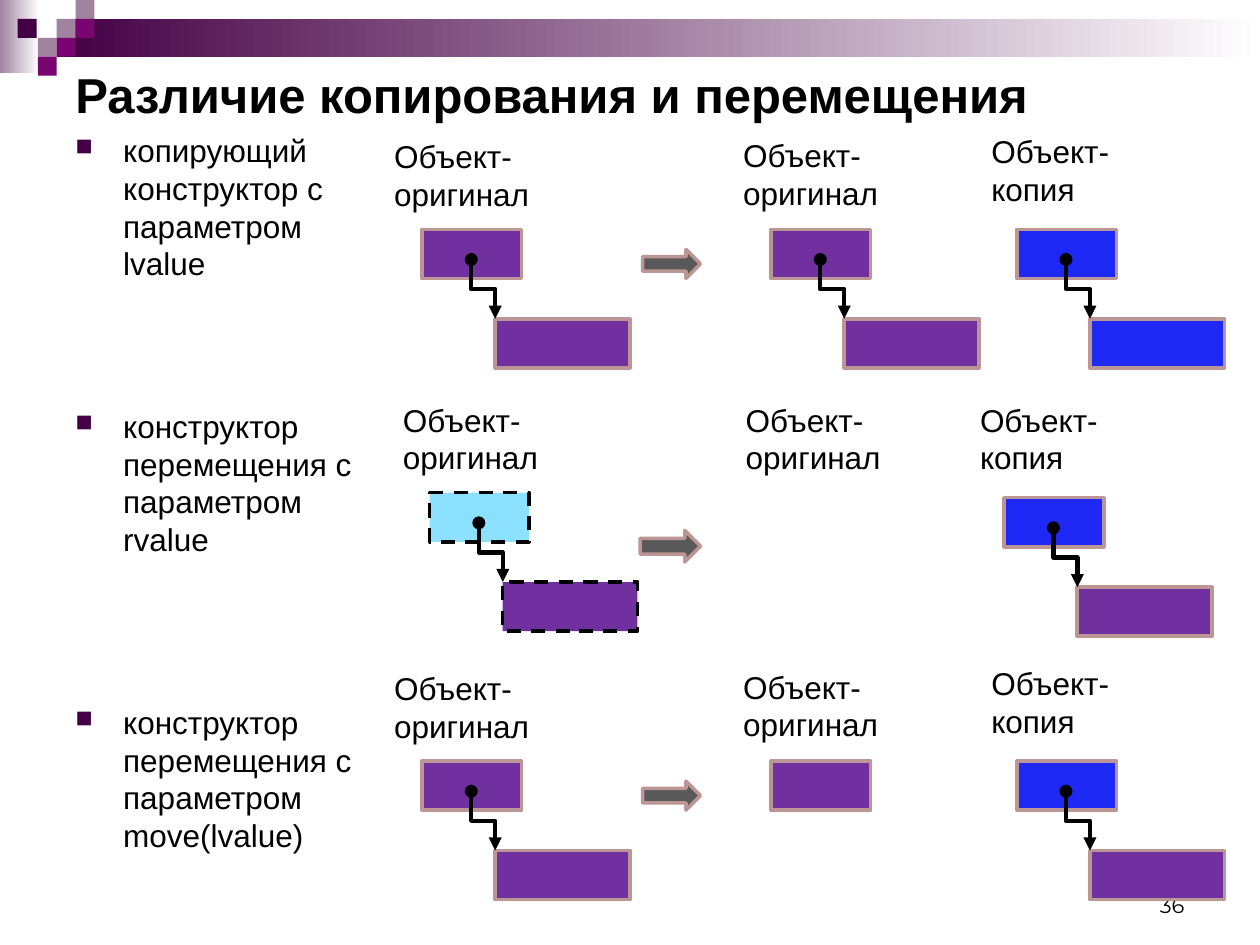
from lxml.etree import SubElement
from pptx import Presentation
from pptx.dml.color import RGBColor
from pptx.enum.dml import MSO_LINE
from pptx.enum.shapes import MSO_CONNECTOR, MSO_SHAPE
from pptx.enum.text import MSO_ANCHOR, MSO_AUTO_SIZE, PP_ALIGN
from pptx.oxml.ns import qn
from pptx.util import Inches, Pt

COLORS = {
    "black": "000000", "white": "FFFFFF", "plum": "440044", "mauve": "9F839F",
    "magenta": "790571", "purple": "7030A0", "blue": "1F29F5", "sky": "8BE1FF",
    "border": "BC9595", "gray": "595959",
}
ORIGINAL, COPY = "Объект-оригинал", "Объект-копия"
TILE = 0.15
TILES = [
    (0.45, 0.15, "mauve"), (0.6, 0, "mauve"), (0.6, 0.15, "magenta"),
    (0.3, 0.3, "mauve"), (0.14, 0.15, "plum"), (0.45, 0.3, "magenta"),
    (0.3, 0.45, "magenta"),
]
BULLETS = [
    ("копирующий конструктор c параметром lvalue", 0),
    ("конструктор перемещения c параметром rvalue", 71.2),
    ("конструктор перемещения с параметром move(lvalue)", 82.8),
]
LABELS = [
    (ORIGINAL, 3.03, 1.04), (ORIGINAL, 5.8, 1.03), (COPY, 7.77, 1),
    (ORIGINAL, 3.1, 3.13), (ORIGINAL, 5.82, 3.13), (COPY, 7.68, 3.13),
    (ORIGINAL, 3.03, 5.26), (ORIGINAL, 5.8, 5.25), (COPY, 7.77, 5.22),
]
OBJECTS = [
    (3.35, 1.82, "purple", "purple", False),
    (6.12, 1.82, "purple", "purple", False),
    (8.07, 1.82, "blue", "blue", False),
    (3.41, 3.91, "sky", "purple", True),
    (7.97, 3.95, "blue", "purple", False),
    (3.35, 6.04, "purple", "purple", False),
    (6.12, 6.04, "purple", None, False),
    (8.07, 6.04, "blue", "purple", False),
]
ARROWS = [(5.1, 1.98, 0.46, 0.23), (5.08, 4.21, 0.48, 0.25), (5.1, 6.2, 0.46, 0.23)]


def color(name):
    """Return the named color."""
    return RGBColor.from_string(COLORS[name])


def add_figure(slide, kind, box, fill, border=None, dashed=False):
    """Add a preset shape with a plain fill and an optional border."""
    shape = slide.shapes.add_shape(kind, *map(Inches, box))
    shape.shadow.inherit = False
    shape.fill.solid()
    shape.fill.fore_color.rgb = color(fill)
    if border:
        shape.line.color.rgb = color(border)
        shape.line.width = Pt(2)
        if dashed:
            shape.line.dash_style = MSO_LINE.DASH
    else:
        shape.line.fill.background()
    return shape


def add_fade(slide, box, start):
    """Add a band that fades to white from left to right."""
    shape = add_figure(slide, MSO_SHAPE.RECTANGLE, box, start)
    shape.fill.gradient()
    shape.fill.gradient_angle = 0
    for stop, name, position in zip(shape.fill.gradient_stops, (start, "white"), (0, 1)):
        stop.color.rgb = color(name)
        stop.position = position


def format_paragraph(paragraph, text, size=18, font="Arial", bold=False,
                     align=PP_ALIGN.LEFT):
    """Fill a paragraph with formatted text."""
    paragraph.text = text
    paragraph.alignment = align
    paragraph.font.size = Pt(size)
    paragraph.font.name = font
    paragraph.font.bold = bold
    paragraph.font.color.rgb = color("black")


def add_text(slide, box, text=None, anchor=MSO_ANCHOR.TOP, grow=False, **style):
    """Add a wrapping text box and return its text frame."""
    frame = slide.shapes.add_textbox(*map(Inches, box)).text_frame
    frame.word_wrap = True
    frame.vertical_anchor = anchor
    frame.auto_size = MSO_AUTO_SIZE.SHAPE_TO_FIT_TEXT if grow else MSO_AUTO_SIZE.NONE
    if text:
        format_paragraph(frame.paragraphs[0], text, **style)
    return frame


def add_bullets(slide):
    """Add the list of constructors."""
    frame = add_text(slide, (0.5, 0.99, 2.53, 6.22))
    for index, (text, gap) in enumerate(BULLETS):
        paragraph = frame.add_paragraph() if index else frame.paragraphs[0]
        properties = paragraph._p.get_or_add_pPr()
        properties.set("marL", str(Inches(0.38)))
        properties.set("indent", str(-Inches(0.38)))
        bullet_color = SubElement(properties, qn("a:buClr"))
        SubElement(bullet_color, qn("a:srgbClr"), val=COLORS["plum"])
        SubElement(properties, qn("a:buSzPct"), val="75000")
        SubElement(properties, qn("a:buChar"), char="■")
        format_paragraph(paragraph, text)
        paragraph.space_before = Pt(gap)


def add_pointer(slide, left, top, width=0.19, height=0.47):
    """Add an elbow arrow that leaves downwards, from its upper left corner."""
    box_left = left + (width - height) / 2
    box_top = top + (height - width) / 2
    ends = (box_left + height, box_top, box_left, box_top + width)
    connector = slide.shapes.add_connector(MSO_CONNECTOR.ELBOW, *map(Inches, ends))
    properties = connector._element.spPr
    properties.xfrm.set("rot", str(270 * 60000))
    connector.line.color.rgb = color("black")
    connector.line.width = Pt(2.5)
    line = connector.line._get_or_add_ln()
    SubElement(line, qn("a:headEnd"), type="oval")
    SubElement(line, qn("a:tailEnd"), type="triangle")
    SubElement(properties, qn("a:effectLst"))


def add_object(slide, left, top, fill, data_fill, dashed):
    """Add an object and, when it owns data, the data and the pointer to it."""
    border = "black" if dashed else "border"
    add_figure(slide, MSO_SHAPE.RECTANGLE, (left, top, 0.79, 0.39), fill, border, dashed)
    if data_fill:
        data_box = (left + 0.58, top + 0.71, 1.07, 0.39)
        add_figure(slide, MSO_SHAPE.RECTANGLE, data_box, data_fill, border, dashed)
        add_pointer(slide, left + 0.39, top + 0.24)


def add_header(slide):
    """Add the decorative band and tiles."""
    add_fade(slide, (0, 0, 0.31, 0.58), "mauve")
    add_fade(slide, (0.45, 0.15, 9.55, 0.3), "plum")
    for left, top, fill in TILES:
        add_figure(slide, MSO_SHAPE.RECTANGLE, (left, top, TILE, TILE), fill)


def main():
    """Build and save the presentation."""
    presentation = Presentation()
    presentation.slide_width, presentation.slide_height = Inches(10), Inches(7.5)
    slide = presentation.slides.add_slide(presentation.slide_layouts[6])
    add_header(slide)
    add_text(slide, (0.5, 0.5, 9, 0.49), "Различие копирования и перемещения",
             anchor=MSO_ANCHOR.MIDDLE, size=28, bold=True)
    add_bullets(slide)
    add_text(slide, (7.17, 6.83, 2.33, 0.5), "36", anchor=MSO_ANCHOR.BOTTOM,
             size=12, font="Montserrat", align=PP_ALIGN.RIGHT)
    for text, left, top in LABELS:
        add_text(slide, (left, top, 1.57, 0.7), text, grow=True)
    for item in OBJECTS:
        add_object(slide, *item)
    for box in ARROWS:
        add_figure(slide, MSO_SHAPE.RIGHT_ARROW, box, "gray", "border")
    presentation.save("out.pptx")


if __name__ == "__main__":
    main()
